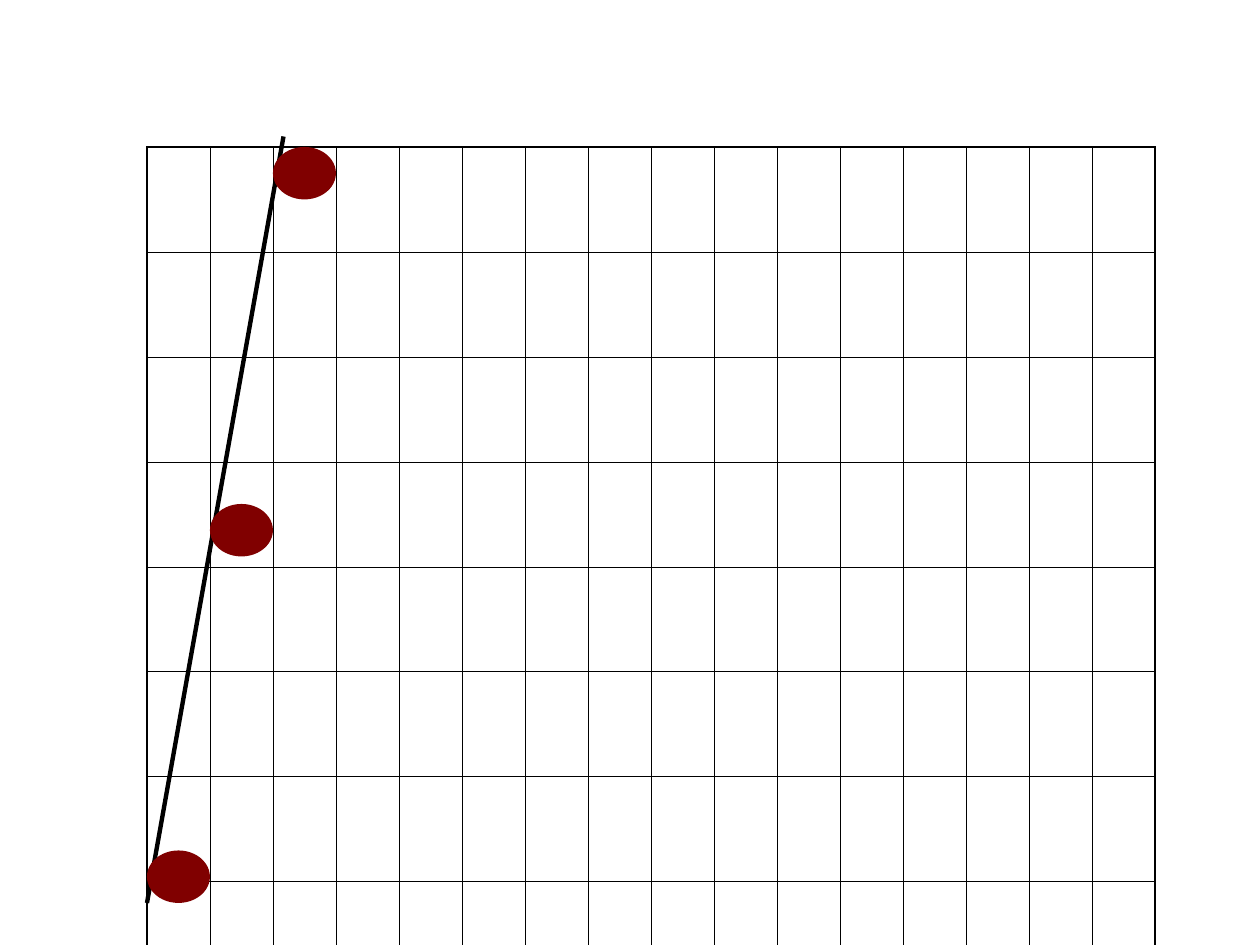
from pptx import Presentation
from pptx.dml.color import RGBColor
from pptx.enum.shapes import MSO_CONNECTOR as CONNECTOR, MSO_SHAPE as SHAPE
from pptx.oxml.ns import qn
from pptx.util import Pt
from lxml.etree import SubElement

BLACK = RGBColor(0x00, 0x00, 0x00)
MAROON = RGBColor(0x80, 0x00, 0x00)

COLUMNS, ROWS = 16, 13
GRID_LEFT, GRID_TOP = 84, 84
COLUMN_WIDTH, ROW_HEIGHT = 36, 33.6
CELL_PADDING = 19  # with an 18 pt line, each row opens up to 60 pt
INNER_BORDER, OUTER_BORDER = 0.45, 1.08

TREND_START, TREND_END = (84, 516), (162, 78)
TREND_WIDTH = 2.5

DOT_WIDTH, DOT_HEIGHT = 36, 30
DOTS = [(0, 486), (1, 288), (2, 84)]  # grid column, top


def set_borders(cell, widths):
    properties = cell._tc.get_or_add_tcPr()
    for position, (side, width) in enumerate(widths.items()):
        border = properties.makeelement(qn(f"a:ln{side}"), {"w": str(Pt(width))})
        fill = SubElement(border, qn("a:solidFill"))
        SubElement(fill, qn("a:srgbClr"), val=str(BLACK))
        properties.insert(position, border)


def add_grid(slide):
    grid = slide.shapes.add_table(
        ROWS, COLUMNS, Pt(GRID_LEFT), Pt(GRID_TOP),
        Pt(COLUMNS * COLUMN_WIDTH), Pt(ROWS * ROW_HEIGHT)).table
    grid.first_row = grid.horz_banding = False
    for column in grid.columns:
        column.width = Pt(COLUMN_WIDTH)
    for row_index, row in enumerate(grid.rows):
        row.height = Pt(ROW_HEIGHT)
        for column_index, cell in enumerate(row.cells):
            cell.margin_top = cell.margin_bottom = Pt(CELL_PADDING)
            cell.fill.background()
            on_edge = {
                "L": column_index == 0,
                "R": column_index == COLUMNS - 1,
                "T": row_index == 0,
                "B": row_index == ROWS - 1,
            }
            set_borders(cell, {side: OUTER_BORDER if edge else INNER_BORDER
                               for side, edge in on_edge.items()})


def add_trend_line(slide):
    trend = slide.shapes.add_connector(
        CONNECTOR.STRAIGHT, *(Pt(value) for value in TREND_START + TREND_END))
    trend.line.color.rgb = BLACK
    trend.line.width = Pt(TREND_WIDTH)
    SubElement(trend._element.spPr, qn("a:effectLst"))


def add_dot(slide, column, top):
    dot = slide.shapes.add_shape(
        SHAPE.OVAL, Pt(GRID_LEFT + column * COLUMN_WIDTH), Pt(top),
        Pt(DOT_WIDTH), Pt(DOT_HEIGHT))
    dot.shadow.inherit = False
    dot.fill.solid()
    dot.fill.fore_color.rgb = MAROON
    dot.line.fill.background()


def main():
    deck = Presentation()
    deck.slide_width, deck.slide_height = Pt(720), Pt(540)
    slide = deck.slides.add_slide(deck.slide_layouts[6])
    add_grid(slide)
    add_trend_line(slide)
    for column, top in DOTS:
        add_dot(slide, column, top)
    deck.save("out.pptx")


if __name__ == "__main__":
    main()
